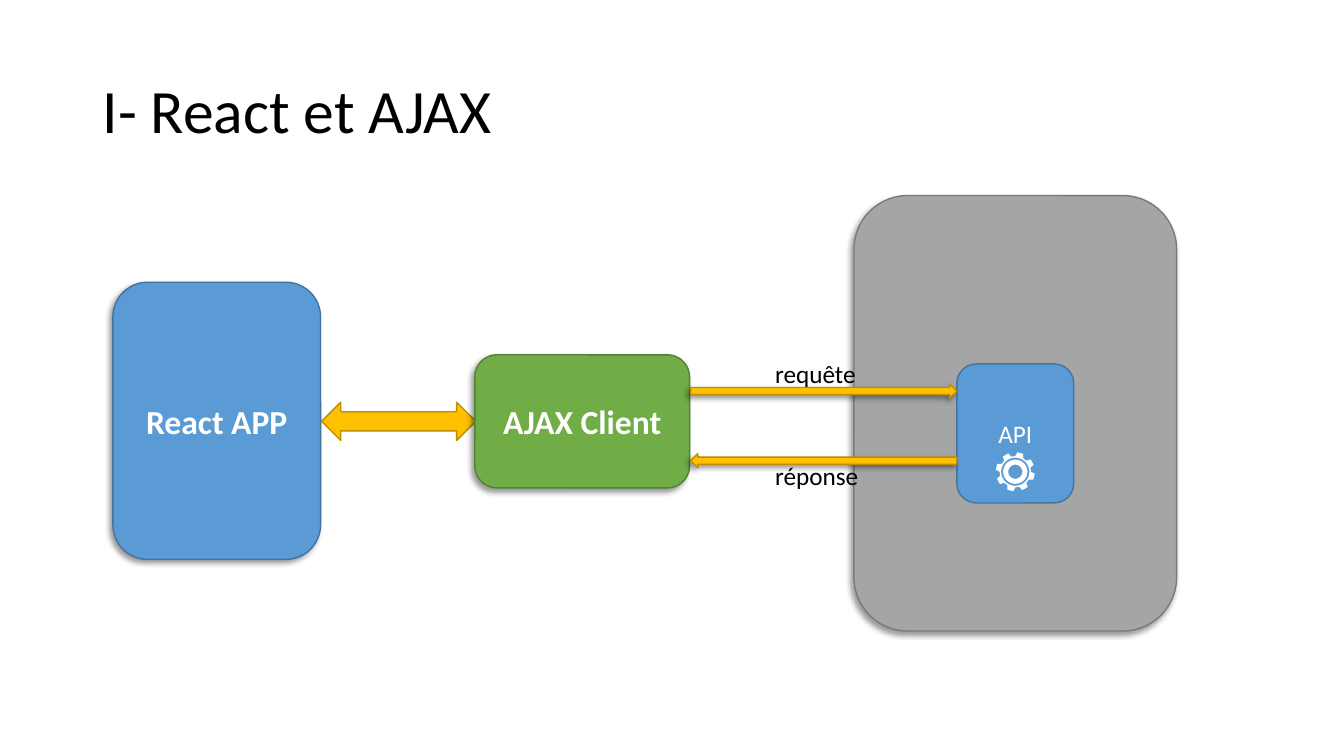
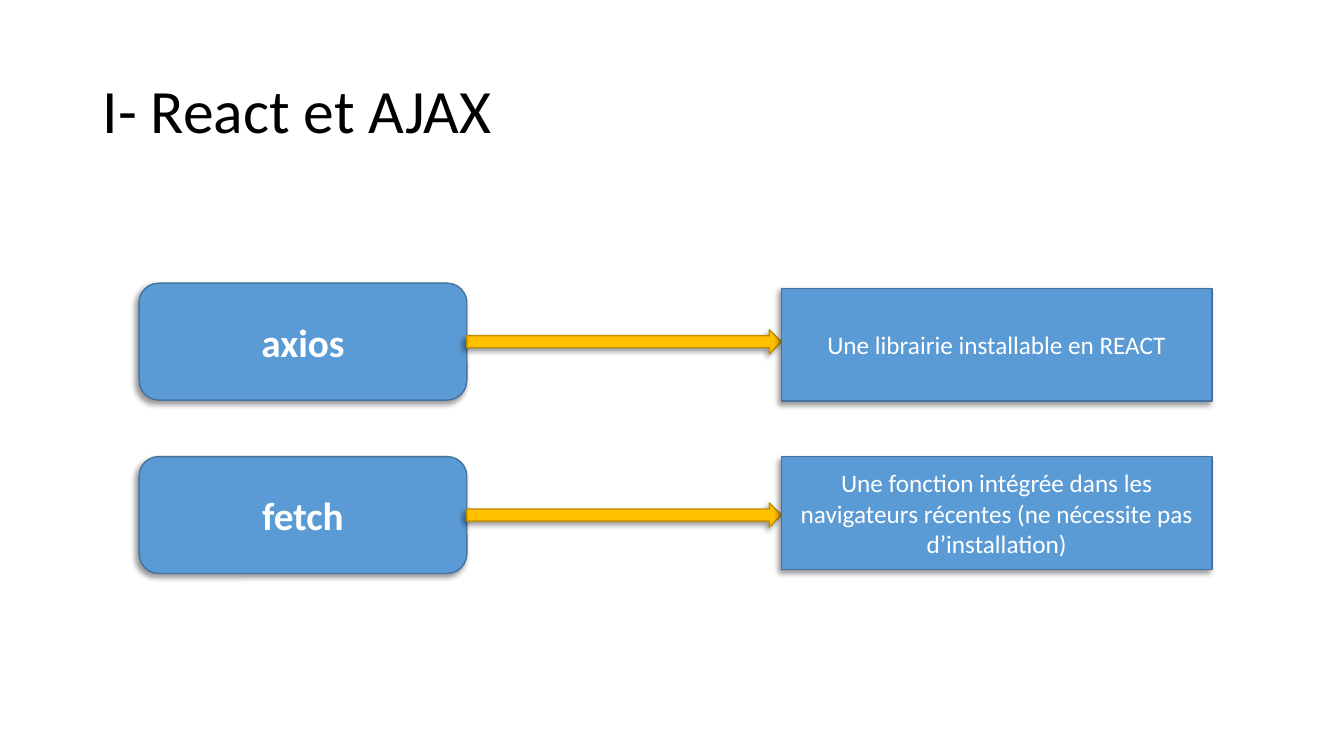
import math
from dataclasses import dataclass
from typing import Any

import pptx
import pptx.dml.color
import pptx.enum.shapes
import pptx.enum.text
import pptx.oxml
import pptx.oxml.ns
import pptx.util

Inches = pptx.util.Inches
Pt = pptx.util.Pt
Color = pptx.dml.color.RGBColor.from_string
Kind = pptx.enum.shapes.MSO_SHAPE
Align = pptx.enum.text.PP_ALIGN
Anchor = pptx.enum.text.MSO_ANCHOR
Fit = pptx.enum.text.MSO_AUTO_SIZE


@dataclass(frozen=True)
class Paint:
    fill: str
    line: str


@dataclass(frozen=True)
class Theme:
    font: str = "Calibri"
    black: str = "000000"
    white: str = "FFFFFF"
    blue: Paint = Paint("5B9BD5", "43739E")
    green: Paint = Paint("70AD47", "538035")
    gray: Paint = Paint("A5A5A5", "7A7A7A")
    gold: Paint = Paint("FFC000", "BD8E00")
    title_size: int = 44
    method_size: int = 28
    block_size: int = 24
    body_size: int = 18
    line_width: int = 1


THEME = Theme()


@dataclass(frozen=True)
class Area:
    left: float
    top: float
    width: float
    height: float

    def lengths(self) -> list[int]:
        return [Inches(v) for v in (self.left, self.top, self.width, self.height)]


@dataclass(frozen=True)
class Block:
    kind: Any
    area: Area
    paint: Paint
    text: str = ""
    size: int = THEME.body_size
    bold: bool = False
    shadow: bool = True
    rotation: int = 0


@dataclass(frozen=True)
class Method:
    name: str
    top: float
    description: str
    description_top: float


TITLE = "I- React et AJAX"
TITLE_AREA = Area(0.92, 0.4, 11.5, 1.45)

FLOW = [
    Block(Kind.ROUNDED_RECTANGLE, Area(1.12, 2.8, 2.06, 2.75), THEME.blue,
          "React APP", THEME.block_size, bold=True),
    Block(Kind.LEFT_RIGHT_ARROW, Area(3.19, 3.99, 1.53, 0.38), THEME.gold, shadow=False),
    Block(Kind.ROUNDED_RECTANGLE, Area(4.71, 3.52, 2.13, 1.32), THEME.green,
          "AJAX Client", THEME.block_size, bold=True),
    Block(Kind.ROUNDED_RECTANGLE, Area(8.47, 1.94, 3.2, 4.32), THEME.gray),
    Block(Kind.ROUNDED_RECTANGLE, Area(9.49, 3.61, 1.16, 1.38), THEME.blue,
          "API", shadow=False),
    Block(Kind.RIGHT_ARROW, Area(6.85, 3.81, 2.64, 0.14), THEME.gold),
    Block(Kind.RIGHT_ARROW, Area(6.85, 4.5, 2.64, 0.14), THEME.gold, rotation=180),
]
FLOW_LABELS = {
    "requête": Area(7.59, 3.51, 1.16, 0.4),
    "réponse": Area(7.59, 4.52, 1.16, 0.4),
}

METHODS = [
    Method("axios", 2.81, "Une librairie installable en REACT", 2.86),
    Method("fetch", 4.53, "Une fonction intégrée dans les navigateurs récentes "
           "(ne nécessite pas d’installation)", 4.53),
]


def set_values(target: Any, values: dict[str, Any]) -> None:
    for name, value in values.items():
        setattr(target, name, value)


def write_text(box: Any, text: str, color: str, size: int, bold: bool = False,
               frame_format: dict[str, Any] | None = None,
               para_format: dict[str, Any] | None = None) -> None:
    frame = box.text_frame
    set_values(frame, {"word_wrap": True, **(frame_format or {})})
    para = frame.paragraphs[0]
    set_values(para, para_format or {})
    span = para.add_run()
    span.text = text
    set_values(span.font, {"name": THEME.font, "size": Pt(size), "bold": bold})
    span.font.color.rgb = Color(color)


def add_shadow(shape: Any) -> None:
    effects = shape.element.spPr.find(pptx.oxml.ns.qn("a:effectLst"))
    effects.append(pptx.oxml.parse_xml(
        f'<a:outerShdw {pptx.oxml.ns.nsdecls("a")} blurRad="{Pt(4)}" dist="{Pt(3)}" '
        f'dir="{135 * 60000}" algn="tr" rotWithShape="0">'
        f'<a:srgbClr val="{THEME.black}"><a:alpha val="40000"/></a:srgbClr>'
        '</a:outerShdw>'))


def add_block(page: Any, block: Block) -> None:
    shape = page.shapes.add_shape(block.kind, *block.area.lengths())
    shape.rotation = block.rotation
    shape.fill.solid()
    shape.fill.fore_color.rgb = Color(block.paint.fill)
    shape.line.color.rgb = Color(block.paint.line)
    shape.line.width = Pt(THEME.line_width)
    shape.shadow.inherit = False
    if block.shadow:
        add_shadow(shape)
    if block.text:
        write_text(shape, block.text, THEME.white, block.size, block.bold,
                   {"vertical_anchor": Anchor.MIDDLE}, {"alignment": Align.CENTER})


def add_label(page: Any, text: str, area: Area) -> None:
    box = page.shapes.add_textbox(*area.lengths())
    write_text(box, text, THEME.black, THEME.body_size,
               frame_format={"auto_size": Fit.SHAPE_TO_FIT_TEXT})


def add_gear(page: Any, center_x: float, center_y: float) -> None:
    def point(radius: float, degrees: float) -> tuple[int, int]:
        angle = math.radians(degrees)
        return (Inches(center_x + radius * math.cos(angle)),
                Inches(center_y + radius * math.sin(angle)))

    tooth = ((0.155, -15), (0.195, -9), (0.195, 9), (0.155, 15))
    teeth = [point(radius, middle + offset)
             for middle in range(-75, 285, 45) for radius, offset in tooth]
    rings = [[point(radius, degrees) for degrees in range(0, 360, 10)]
             for radius in (0.14, 0.12, 0.07)]
    builder = page.shapes.build_freeform(*teeth[0])
    builder.add_line_segments(teeth[1:], close=True)
    for ring in rings:
        builder.move_to(*ring[0])
        builder.add_line_segments(ring[1:], close=True)
    gear = builder.convert_to_shape()
    gear.fill.solid()
    gear.fill.fore_color.rgb = Color(THEME.white)
    gear.line.fill.background()
    gear.shadow.inherit = False


def add_page(deck: Any) -> Any:
    page = deck.slides.add_slide(deck.slide_layouts[6])
    box = page.shapes.add_textbox(*TITLE_AREA.lengths())
    write_text(box, TITLE, THEME.black, THEME.title_size,
               frame_format={"vertical_anchor": Anchor.MIDDLE},
               para_format={"line_spacing": 0.9})
    return page


def build_flow_page(deck: Any) -> None:
    page = add_page(deck)
    for block in FLOW:
        add_block(page, block)
    add_gear(page, 10.07, 4.68)
    for text, area in FLOW_LABELS.items():
        add_label(page, text, area)


def build_methods_page(deck: Any) -> None:
    page = add_page(deck)
    for method in METHODS:
        add_block(page, Block(Kind.ROUNDED_RECTANGLE, Area(1.38, method.top, 3.25, 1.16),
                              THEME.blue, method.name, THEME.method_size, bold=True))
        add_block(page, Block(Kind.RIGHT_ARROW, Area(4.63, method.top + 0.46, 3.12, 0.24),
                              THEME.gold))
        add_block(page, Block(Kind.RECTANGLE, Area(7.75, method.description_top, 4.27, 1.12),
                              THEME.blue, method.description))


def main() -> None:
    deck = pptx.Presentation()
    set_values(deck, {"slide_width": Inches(13.33), "slide_height": Inches(7.5)})
    build_flow_page(deck)
    build_methods_page(deck)
    deck.save("out.pptx")


if __name__ == "__main__":
    main()
